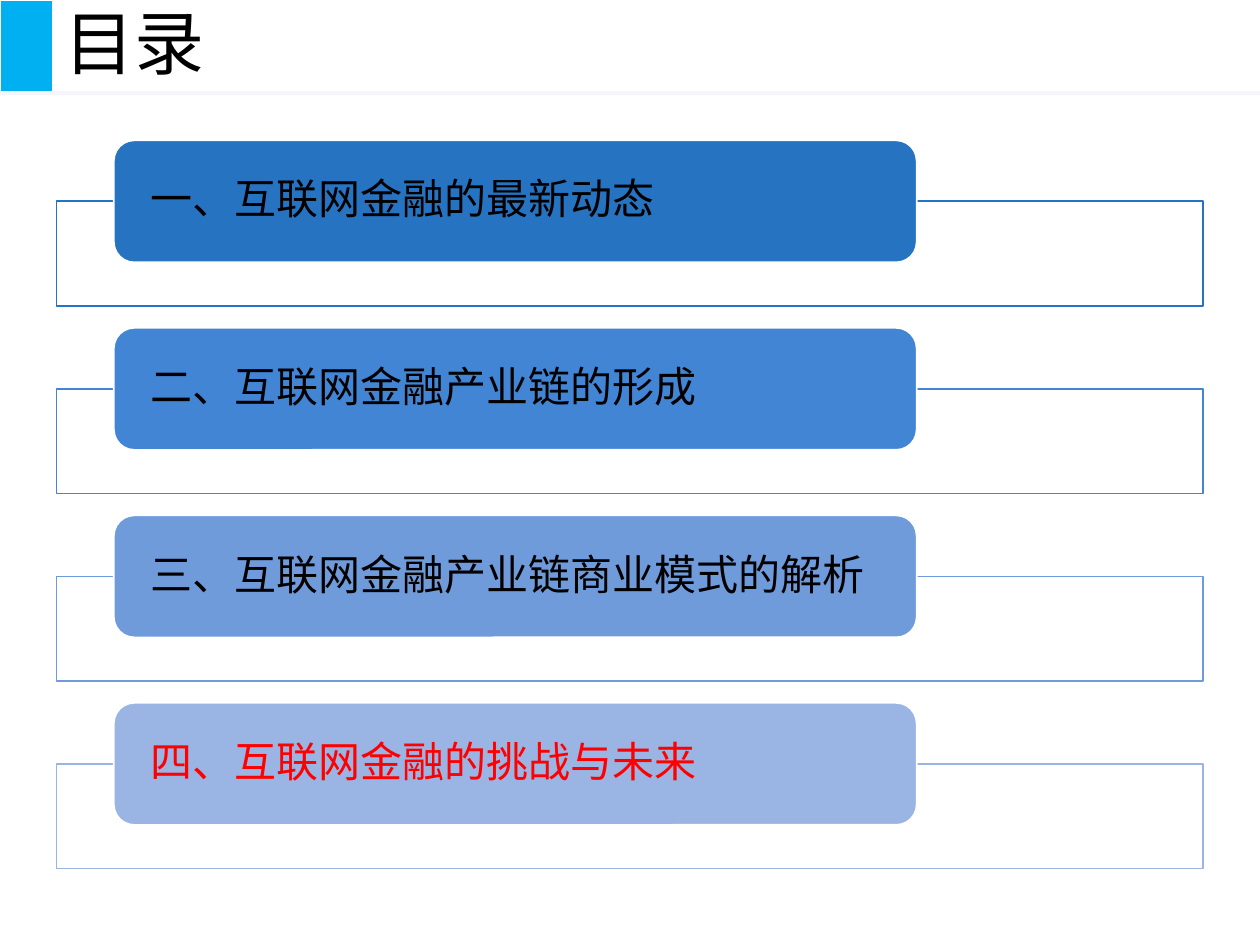
from dataclasses import dataclass

from lxml import etree
from pptx import Presentation
from pptx.dml.color import RGBColor
from pptx.enum import shapes, text
from pptx.oxml.ns import qn
from pptx.util import Cm, Pt


@dataclass(frozen=True)
class Theme:
    font: str = "Arial"
    head: int = 40
    body: int = 24
    ink: str = "000000"
    alert: str = "FF0000"
    paper: str = "FFFFFF"
    accent: str = "00B0F0"
    rule: str = "F4F6FB"


THEME = Theme()
WIDE, HIGH = 25.4, 19.05
ITEMS = [
    ("一、互联网金融的最新动态", "2573C1", THEME.ink),
    ("二、互联网金融产业链的形成", "4385D5", THEME.ink),
    ("三、互联网金融产业链商业模式的解析", "709BDB", THEME.ink),
    ("四、互联网金融的挑战与未来", "9AB4E3", THEME.alert),
]


def write(shape, words, size=THEME.body, color=THEME.ink, inset=0.25, after=0):
    frame = shape.text_frame
    frame.word_wrap = True
    frame.auto_size = text.MSO_AUTO_SIZE.NONE
    frame.vertical_anchor = text.MSO_ANCHOR.MIDDLE
    frame.margin_left = frame.margin_right = Cm(inset)
    frame.margin_top = frame.margin_bottom = 0
    para = frame.paragraphs[0]
    para.alignment = text.PP_ALIGN.LEFT
    para.line_spacing = 0.9
    para.space_after = Pt(after)
    run = para.add_run()
    run.text = words
    run.font.name = THEME.font
    run.font.size = Pt(size)
    run.font.color.rgb = RGBColor.from_string(color)


def block(slide, kind, left, top, width, height, fill, line):
    shape = slide.shapes.add_shape(
        kind, Cm(left), Cm(top), Cm(width), Cm(height))
    shape.shadow.inherit = False
    shape.fill.solid()
    shape.fill.fore_color.rgb = RGBColor.from_string(fill)
    shape.line.color.rgb = RGBColor.from_string(line)
    shape.line.width = Pt(1)
    return shape


def header(slide, left, top, width, height):
    tab = 1.06
    block(slide, shapes.MSO_SHAPE.RECTANGLE, left, top, tab, height,
          THEME.accent, THEME.paper)
    base = Cm(top + height)
    rule = slide.shapes.add_connector(
        shapes.MSO_CONNECTOR.STRAIGHT, Cm(left), base, Cm(left + width), base)
    rule.line.color.rgb = RGBColor.from_string(THEME.rule)
    rule.line.width = Pt(2.5)
    etree.SubElement(rule._element.spPr, qn("a:effectLst"))
    title = slide.shapes.title
    title.left, title.top = Cm(left + tab), Cm(top)
    title.width, title.height = Cm(width - tab), Cm(height)
    write(title, "目录", size=THEME.head)


def entry(slide, left, top, width, words, fill, color):
    """Draw one framed item with its label tab over the upper edge."""
    pill = 2.46
    block(slide, shapes.MSO_SHAPE.RECTANGLE, left, top + pill / 2,
          width, 2.11, THEME.paper, fill)
    label = block(slide, shapes.MSO_SHAPE.ROUNDED_RECTANGLE,
                  left + width * 0.05, top, width * 0.7, pill,
                  fill, THEME.paper)
    write(label, words, color=color, inset=0.61)


def agenda(slide, left, top, width, pitch):
    for row, (words, fill, color) in enumerate(ITEMS):
        entry(slide, left, top + row * pitch, width, words, fill, color)


def main():
    deck = Presentation()
    deck.slide_width, deck.slide_height = Cm(WIDE), Cm(HIGH)
    slide = deck.slides.add_slide(deck.slide_layouts.get_by_name("Title Only"))
    header(slide, 0, 0, WIDE, 1.87)
    side = 1.14
    agenda(slide, side, 2.83, WIDE - 2 * side, 3.78)
    deck.save("out.pptx")


if __name__ == "__main__":
    main()
